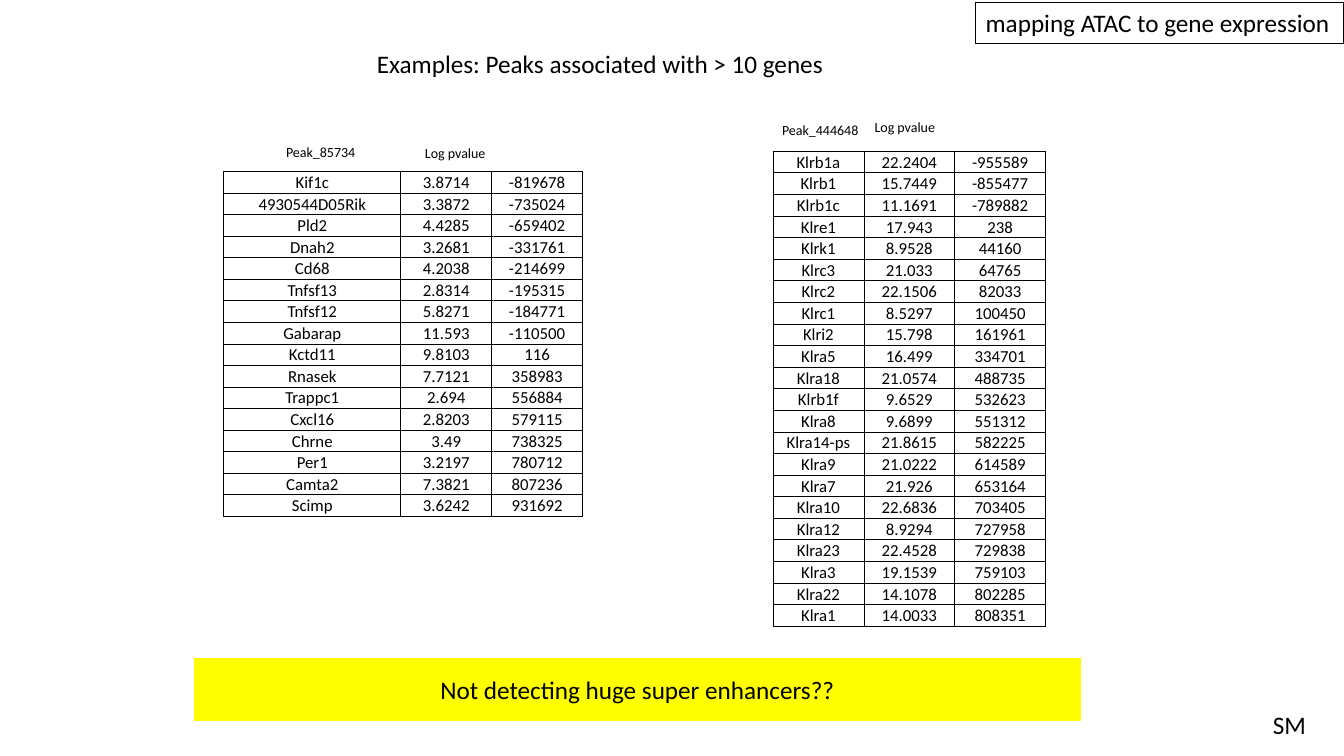
import pptx
import pptx.dml.color
import pptx.enum.shapes
import pptx.enum.text
import pptx.oxml
import pptx.oxml.ns
import pptx.util

Cm, Pt = pptx.util.Cm, pptx.util.Pt
ALIGN = pptx.enum.text.PP_ALIGN
ANCHOR = pptx.enum.text.MSO_ANCHOR
SIZE = pptx.enum.text.MSO_AUTO_SIZE
RECT = pptx.enum.shapes.MSO_SHAPE.RECTANGLE
COLORS = {"ink": "000000", "mark": "FFFF00"}


def color(name):
    return pptx.dml.color.RGBColor.from_string(COLORS[name])


def write(frame, text, size, align):
    para = frame.paragraphs[0]
    para.text = text
    para.alignment = align
    for key, value in {"name": "Calibri", "size": Pt(size)}.items():
        setattr(para.font, key, value)
    para.font.color.rgb = color("ink")


deck = pptx.Presentation()
deck.slide_width, deck.slide_height = Cm(33.87), Cm(19.05)
slide = deck.slides.add_slide(deck.slide_layouts[6])
shapes = slide.shapes

topic = shapes.add_shape(RECT, Cm(24.59), Cm(0.07), Cm(9.27), Cm(1.03))
topic.shadow.inherit = False
topic.fill.background()
topic.line.color.rgb = color("ink")
topic.line.width = Pt(0.75)
form = {"word_wrap": False, "auto_size": SIZE.SHAPE_TO_FIT_TEXT, "vertical_anchor": ANCHOR.TOP}
for key, value in form.items():
    setattr(topic.text_frame, key, value)
write(topic.text_frame, "mapping ATAC to gene expression", 18, ALIGN.LEFT)

labels = [
    ("SM", 31.83, 17.75, 2.06, 1.03, 18, True),
    ("Examples: Peaks associated with > 10 genes", 9.25, 1.09, 11.91, 1.03, 18, False),
    ("Log pvalue", 10.46, 3.52, 2.06, 0.68, 10, False),
    ("Log pvalue", 21.79, 2.87, 2.06, 0.68, 10, False),
    ("Peak_444648", 19.46, 2.93, 2.46, 0.68, 10, False),
    ("Peak_85734", 6.96, 3.5, 2.29, 0.68, 10, False),
]
for text, left, top, width, height, size, wrap in labels:
    box = shapes.add_textbox(Cm(left), Cm(top), Cm(width), Cm(height))
    for key, value in {**form, "word_wrap": wrap}.items():
        setattr(box.text_frame, key, value)
    write(box.text_frame, text, size, ALIGN.LEFT)

peak_a = """Kif1c 3.8714 -819678
4930544D05Rik 3.3872 -735024
Pld2 4.4285 -659402
Dnah2 3.2681 -331761
Cd68 4.2038 -214699
Tnfsf13 2.8314 -195315
Tnfsf12 5.8271 -184771
Gabarap 11.593 -110500
Kctd11 9.8103 116
Rnasek 7.7121 358983
Trappc1 2.694 556884
Cxcl16 2.8203 579115
Chrne 3.49 738325
Per1 3.2197 780712
Camta2 7.3821 807236
Scimp 3.6242 931692"""

peak_b = """Klrb1a 22.2404 -955589
Klrb1 15.7449 -855477
Klrb1c 11.1691 -789882
Klre1 17.943 238
Klrk1 8.9528 44160
Klrc3 21.033 64765
Klrc2 22.1506 82033
Klrc1 8.5297 100450
Klri2 15.798 161961
Klra5 16.499 334701
Klra18 21.0574 488735
Klrb1f 9.6529 532623
Klra8 9.6899 551312
Klra14-ps 21.8615 582225
Klra9 21.0222 614589
Klra7 21.926 653164
Klra10 22.6836 703405
Klra12 8.9294 727958
Klra23 22.4528 729838
Klra3 19.1539 759103
Klra22 14.1078 802285
Klra1 14.0033 808351"""

inset = {
    "margin_left": Cm(0.02),
    "margin_right": Cm(0.02),
    "margin_top": Cm(0.02),
    "margin_bottom": 0,
    "vertical_anchor": ANCHOR.BOTTOM,
}
edge = (
    '<a:{} {} w="6350"><a:solidFill><a:srgbClr val="{}"/></a:solidFill>'
    '<a:prstDash val="solid"/></a:{}>'
)
tables = [
    (peak_a, 5.64, 4.32, 8.7, (4.46, 2.29, 2.29)),
    (peak_b, 19.48, 3.81, 11.97, (2.29, 2.29, 2.29)),
]
for data, left, top, height, widths in tables:
    rows = [line.split() for line in data.splitlines()]
    grid = shapes.add_table(
        len(rows), len(widths), Cm(left), Cm(top), Cm(sum(widths)), Cm(height)
    ).table
    grid.first_row = grid.horz_banding = False
    for col, width in zip(grid.columns, widths):
        col.width = Cm(width)
    for r, row in enumerate(rows):
        for c, text in enumerate(row):
            cell = grid.cell(r, c)
            for key, value in inset.items():
                setattr(cell, key, value)
            write(cell.text_frame, text, 12, ALIGN.CENTER)
            props = cell._tc.get_or_add_tcPr()
            for side in ("lnL", "lnR", "lnT", "lnB"):
                xml = edge.format(side, pptx.oxml.ns.nsdecls("a"), COLORS["ink"], side)
                props.append(pptx.oxml.parse_xml(xml))
            cell.fill.background()

note = shapes.add_shape(RECT, Cm(4.9), Cm(16.59), Cm(22.33), Cm(1.57))
note.shadow.inherit = False
note.fill.solid()
note.fill.fore_color.rgb = color("mark")
note.line.color.rgb = color("mark")
note.line.width = Pt(0.5)
note.text_frame.word_wrap = True
note.text_frame.vertical_anchor = ANCHOR.MIDDLE
write(note.text_frame, "Not detecting huge super enhancers??", 18, ALIGN.CENTER)

deck.save("out.pptx")
